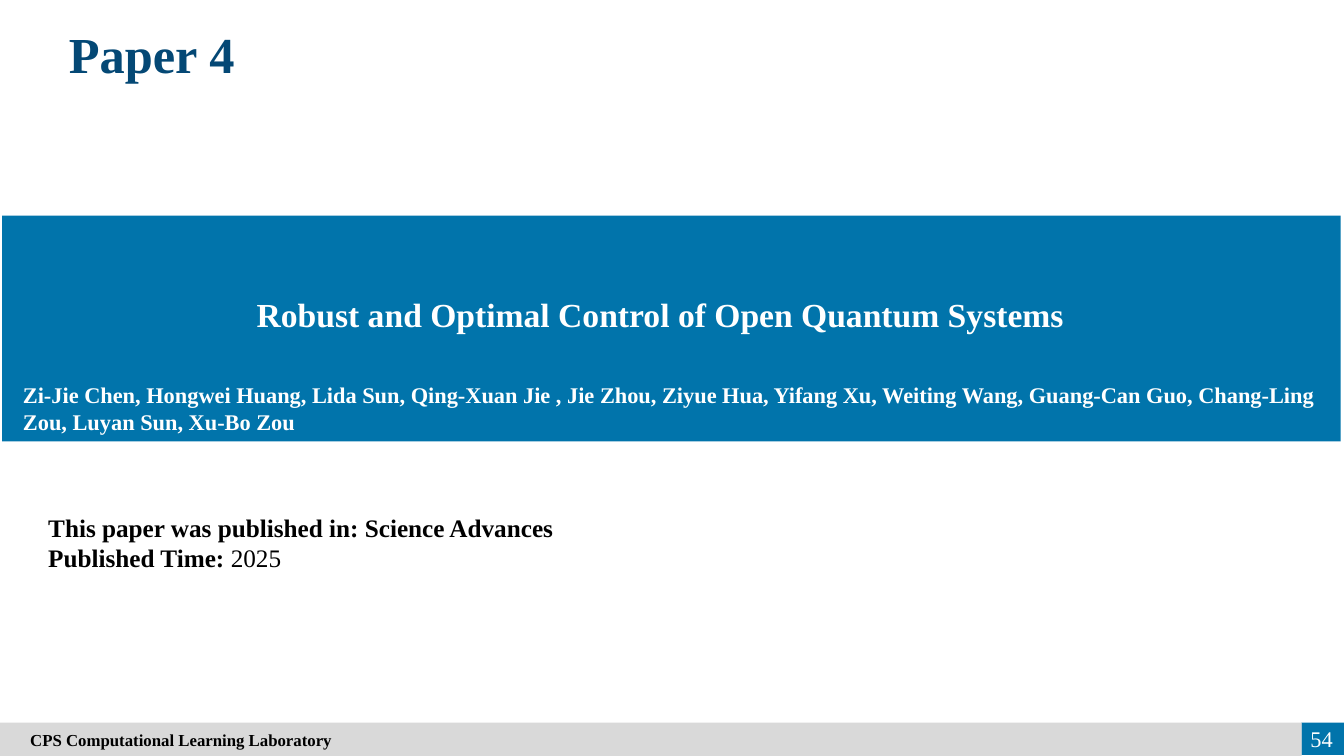
"""Build the title slide for the fourth paper, with its band, details and footer."""
import pptx
import pptx.dml.color
import pptx.enum.shapes
import pptx.enum.text
import pptx.util

RGBColor = pptx.dml.color.RGBColor
BLUE = RGBColor(0x01, 0x74, 0xAB)
NAVY = RGBColor(0x04, 0x48, 0x75)
GREY = RGBColor(0xD9, 0xD9, 0xD9)
WHITE = RGBColor(0xFF, 0xFF, 0xFF)
BLACK = RGBColor(0x00, 0x00, 0x00)
ALIGN = pptx.enum.text.PP_ALIGN
ANCHOR = pptx.enum.text.MSO_ANCHOR

prs = pptx.Presentation()
prs.slide_width = pptx.util.Inches(13.33)
prs.slide_height = pptx.util.Inches(7.5)
s = prs.slides.add_slide(prs.slide_layouts[6])
COL = prs.slide_width / 100
ROW = prs.slide_height / 100


def add_bar(x, y, w, h, color):
    sp = s.shapes.add_shape(pptx.enum.shapes.MSO_SHAPE.RECTANGLE,
                            int(x * COL), int(y * ROW), int(w * COL), int(h * ROW))
    sp.shadow.inherit = False
    sp.fill.solid()
    sp.fill.fore_color.rgb = color
    sp.line.fill.background()
    return sp


def write(sp, paragraphs, size, color, align, anchor=ANCHOR.TOP):
    tf = sp.text_frame
    tf.word_wrap = True
    tf.vertical_anchor = anchor
    for i, runs in enumerate(paragraphs):
        p = tf.paragraphs[0] if i == 0 else tf.add_paragraph()
        p.alignment = align
        for text, bold in runs:
            r = p.add_run()
            r.text = text
            r.font.name = "Times New Roman"
            r.font.size = pptx.util.Pt(size)
            r.font.bold = bold
            r.font.color.rgb = color
    return tf


add_bar(0.15, 28.53, 99.6, 29.87, BLUE)
add_bar(96.83, 95.6, 3.17, 4.27, BLUE)
footer = add_bar(0, 95.6, 96.85, 4.4, GREY)
tf = write(footer, [[("CPS Computational Learning Laboratory", True)]],
           12, BLACK, ALIGN.LEFT, ANCHOR.MIDDLE)
tf.margin_left = int(2.25 * COL)

paper_title = [[("Robust and Optimal Control of Open Quantum Systems", True)]]
authors = [[("Zi-Jie Chen, Hongwei Huang, Lida Sun, Qing-Xuan Jie , Jie Zhou, Ziyue Hua, "
             "Yifang Xu, Weiting Wang, Guang-Can Guo, Chang-Ling Zou, Luyan Sun, "
             "Xu-Bo Zou", True)]]
details = [[("This paper was published in: Science Advances", True)],
           [("Published Time:", True), (" 2025", False)]]

TEXTS = [
    (0.22, 36, 97.8, 8.4, paper_title, 24, WHITE, ALIGN.CENTER, ANCHOR.MIDDLE, 1.5),
    (0.97, 49.73, 98.03, 8.53, authors, 16, WHITE, ALIGN.LEFT, ANCHOR.TOP, 1),
    (2.85, 2.4, 16.88, 9.47, [[("Paper 4", True)]], 36, NAVY, ALIGN.CENTER, ANCHOR.TOP, 1),
    (95.18, 95.07, 4.72, 5.33, [[("54", False)]], 16, WHITE, ALIGN.RIGHT, ANCHOR.MIDDLE, 1),
    (2.85, 67.07, 88.5, 9.47, details, 18, BLACK, ALIGN.JUSTIFY, ANCHOR.TOP, 1),
]
for x, y, w, h, paragraphs, size, color, align, anchor, spacing in TEXTS:
    box = s.shapes.add_textbox(int(x * COL), int(y * ROW), int(w * COL), int(h * ROW))
    tf = write(box, paragraphs, size, color, align, anchor)
    for p in tf.paragraphs:
        p.line_spacing = spacing

prs.save("out.pptx")
